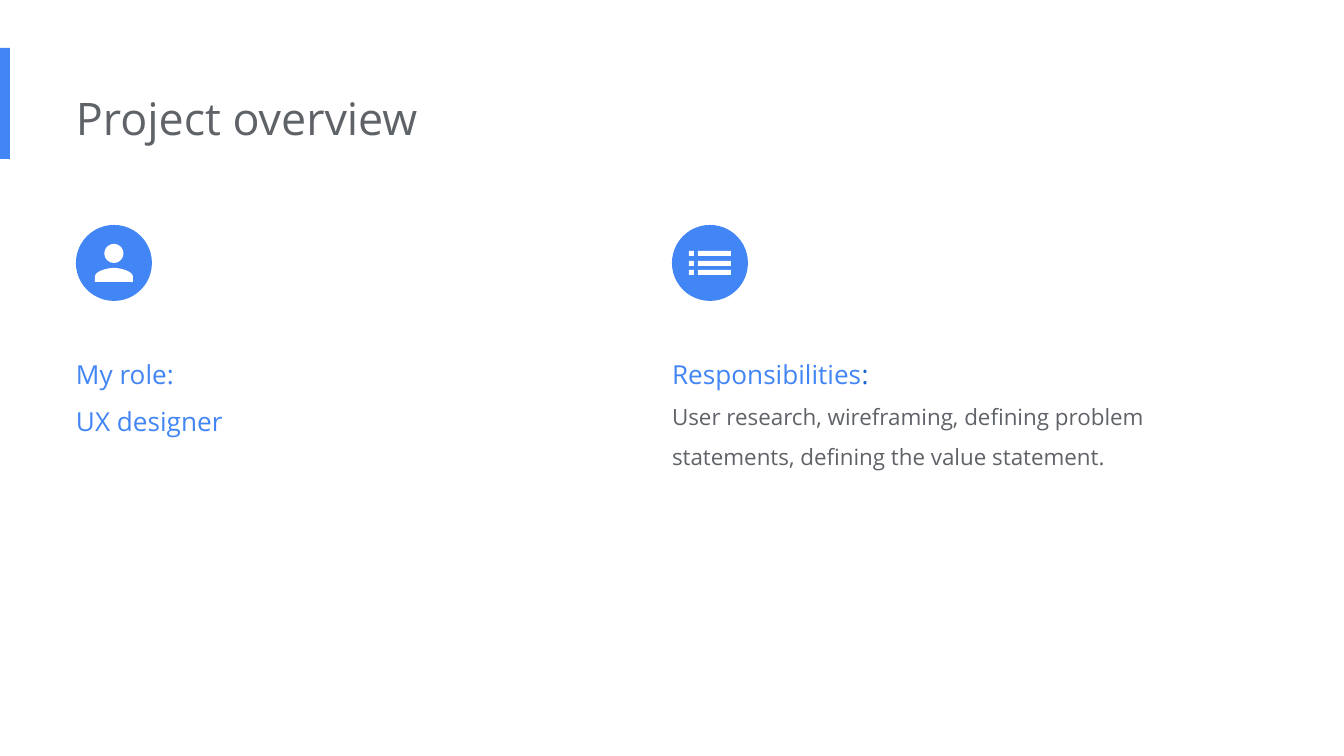
from dataclasses import dataclass
from math import cos, pi, sin

from lxml.etree import SubElement
from pptx import Presentation
from pptx.dml.color import RGBColor
from pptx.enum.shapes import MSO_SHAPE
from pptx.enum.text import MSO_ANCHOR, MSO_AUTO_SIZE, PP_ALIGN
from pptx.oxml.ns import qn
from pptx.util import Emu, Pt

SCALE = 914400 / 134.4


@dataclass(frozen=True)
class Theme:
    font: str = "Open Sans"
    blue: str = "4285F4"
    navy: str = "1967D2"
    grey: str = "5F6368"
    white: str = "FFFFFF"
    title: int = 24
    head: int = 14
    body: int = 12


THEME = Theme()


def emu(px):
    return Emu(round(px * SCALE))


def paint(shape, color):
    shape.shadow.inherit = False
    shape.fill.solid()
    shape.fill.fore_color.rgb = RGBColor.from_string(color)
    shape.line.fill.background()


def draw(slide, kind, box, color):
    paint(slide.shapes.add_shape(kind, *map(emu, box)), color)


def trace(slide, left, top, loops):
    first, *rest = [[(emu(left + x), emu(top + y)) for x, y in loop] for loop in loops]
    pen = slide.shapes.build_freeform(*first[0])
    pen.add_line_segments(first[1:], close=True)
    for loop in rest:
        pen.move_to(*loop[0])
        pen.add_line_segments(loop[1:], close=True)
    paint(pen.convert_to_shape(), THEME.white)


def curve(a, b, c, d, steps=16):
    for i in range(steps + 1):
        t = i / steps
        u = 1 - t
        yield tuple(u**3 * p + 3 * u * u * t * q + 3 * u * t * t * r + t**3 * s
                    for p, q, r, s in zip(a, b, c, d))


def person():
    turns = [2 * pi * i / 48 for i in range(48)]
    head = [(38 + 9.5 * cos(t), 28.5 + 9.5 * sin(t)) for t in turns]
    left = list(curve((38, 43), (32, 43), (19, 46), (19, 52)))
    right = [(76 - x, y) for x, y in reversed(left)]
    return [head, left + [(19, 57), (57, 57)] + right[:-1]]


def bars():
    return [[(x, y), (end, y), (end, y + 5), (x, y + 5)]
            for y in (26, 36, 45) for x, end in ((17, 22), (26, 59))]


def write(holder, box, lines, space):
    holder.left, holder.top, holder.width, holder.height = map(emu, box)
    frame = holder.text_frame
    frame.word_wrap = True
    frame.auto_size = MSO_AUTO_SIZE.SHAPE_TO_FIT_TEXT
    frame.vertical_anchor = MSO_ANCHOR.TOP
    frame.margin_left = 0
    frame.margin_top = frame.margin_right = frame.margin_bottom = Pt(7.2)
    for i, line in enumerate(lines):
        para = frame.add_paragraph() if i else frame.paragraphs[0]
        props = para._p.get_or_add_pPr()
        props.set("marL", "0")
        props.set("indent", "0")
        SubElement(props, qn("a:buNone"))
        para.alignment = PP_ALIGN.LEFT
        para.line_spacing = space
        para.space_before = Pt(0)
        for text, size, color in line:
            run = para.add_run()
            run.text = text
            run.font.name = THEME.font
            run.font.size = Pt(size)
            run.font.color.rgb = RGBColor.from_string(color)


def header(slide, box, text):
    left, top, width, height = box
    draw(slide, MSO_SHAPE.RECTANGLE, (left, top, 10, height), THEME.blue)
    write(slide.shapes.title, (left + 76, top + 29, width - 76, 82),
          [[(text, THEME.title, THEME.grey)]], 1.0)


def column(slide, box, holder, icon, lines):
    left, top, width, height = box
    draw(slide, MSO_SHAPE.OVAL, (left, top, 76, 76), THEME.blue)
    trace(slide, left, top, icon)
    write(holder, (left, top + 104, width, height - 104), lines, 1.5)


def main():
    deck = Presentation()
    deck.slide_width, deck.slide_height = emu(1344), emu(756)
    slide = deck.slides.add_slide(deck.slide_layouts[3])
    role, duties = slide.placeholders[1], slide.placeholders[2]
    header(slide, (0, 48, 981, 111), "Project overview")
    column(slide, (76, 225, 507, 226), role, person(), [
        [("My role:", THEME.head, THEME.blue)],
        [("UX designer", THEME.head, THEME.blue)],
    ])
    column(slide, (672, 225, 507, 260), duties, bars(), [
        [("Responsibilities", THEME.head, THEME.blue), (":", THEME.head, THEME.navy)],
        [("User research, wireframing, defining problem statements, "
          "defining the value statement.", THEME.body, THEME.grey)],
    ])
    deck.save("out.pptx")


if __name__ == "__main__":
    main()
